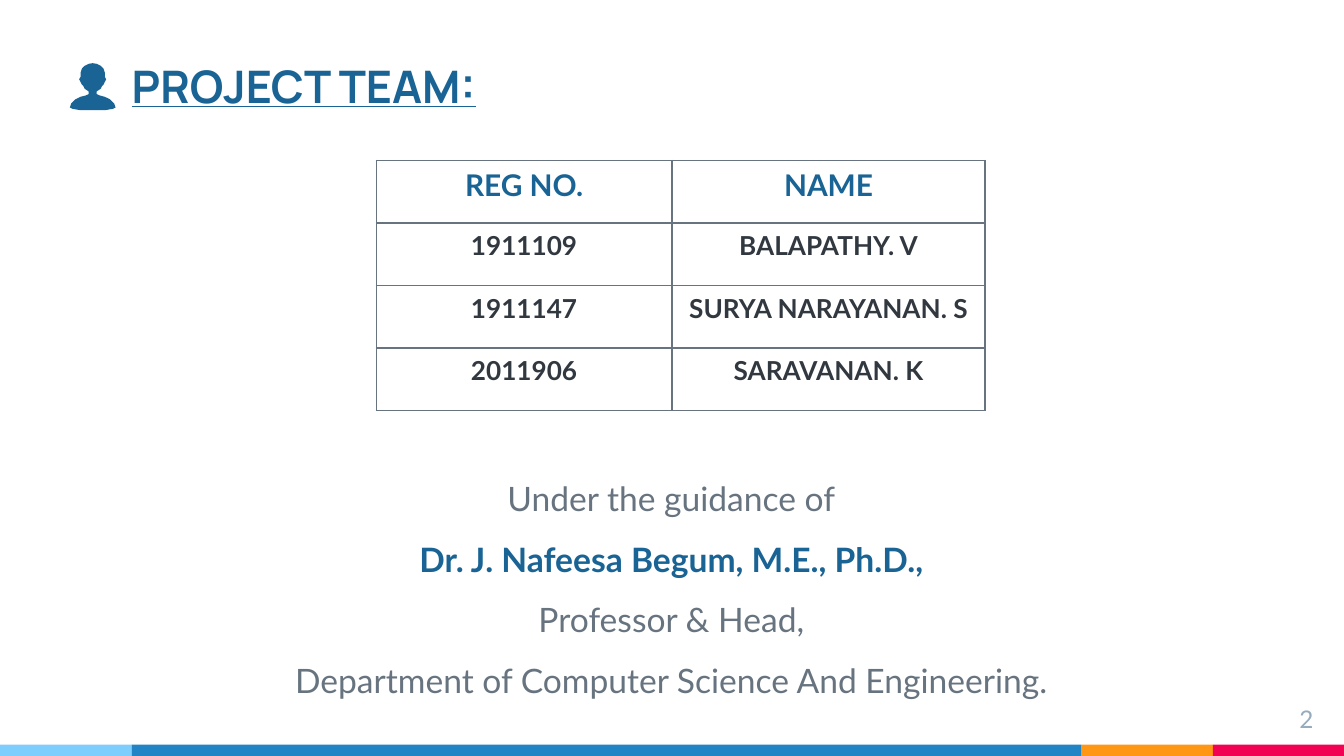
from dataclasses import dataclass

from lxml.etree import SubElement
from pptx import Presentation
from pptx.dml.color import RGBColor
from pptx.enum.shapes import MSO_SHAPE
from pptx.enum.text import MSO_ANCHOR, PP_ALIGN
from pptx.oxml.ns import qn
from pptx.util import Inches, Pt


@dataclass(frozen=True)
class Theme:
    """Colours, fonts and type sizes of the deck."""

    accent: str = "196494"
    body: str = "677480"
    dark: str = "313840"
    muted: str = "97ABBC"
    sky: str = "7ECEFD"
    blue: str = "2185C5"
    orange: str = "FF9715"
    red: str = "F20253"
    heading_font: str = "Manrope"
    body_font: str = "Lato"
    title_size: int = 24
    guidance_size: int = 18
    header_size: int = 16
    cell_size: int = 14
    number_size: int = 13


class TeamSlide:
    """Draws elements on a grid of 100 columns by 56.25 rows."""

    columns, rows = 100, 56.25

    def __init__(self, deck, theme):
        """Open a title-only slide and keep its grid unit."""
        self.theme = theme
        self.slide = deck.slides.add_slide(deck.slide_layouts[5])
        self.column = deck.slide_width / self.columns
        self.row = deck.slide_height / self.rows

    def area(self, left, top, width, height):
        """Convert a grid area to slide lengths."""
        return (round(left * self.column), round(top * self.row),
                round(width * self.column), round(height * self.row))

    def style(self, para, size, color, bold=False, align=PP_ALIGN.CENTER, font=None):
        """Format a whole paragraph."""
        para.alignment = align
        para.font.name = font or self.theme.body_font
        para.font.size = Pt(size)
        para.font.bold = bold
        para.font.color.rgb = RGBColor.from_string(color)

    def paint(self, shape, color):
        """Give a shape a flat fill."""
        shape.shadow.inherit = False
        shape.fill.solid()
        shape.fill.fore_color.rgb = RGBColor.from_string(color)
        shape.line.fill.background()

    def stripe(self, segments, top, height):
        """Lay coloured bars end to end across the slide."""
        left = 0
        for width, color in segments:
            bar = self.slide.shapes.add_shape(
                MSO_SHAPE.RECTANGLE, *self.area(left, top, width, height))
            self.paint(bar, color)
            left += width

    def title(self, text, area):
        """Place and format the title placeholder."""
        box = self.slide.shapes.title
        box.left, box.top, box.width, box.height = self.area(*area)
        frame = box.text_frame
        frame.text = text
        frame.vertical_anchor = MSO_ANCHOR.BOTTOM
        frame.margin_left = frame.margin_right = Inches(0.1)
        frame.margin_top = frame.margin_bottom = Inches(0.1)
        para = frame.paragraphs[0]
        self.style(para, self.theme.title_size, self.theme.accent, True,
                   PP_ALIGN.LEFT, self.theme.heading_font)
        para.font.underline = True

    def page_number(self, text, area):
        """Write the page number."""
        frame = self.slide.shapes.add_textbox(*self.area(*area)).text_frame
        frame.margin_left = frame.margin_right = Inches(0.1)
        frame.margin_top = frame.margin_bottom = Inches(0.1)
        frame.word_wrap = True
        frame.text = text
        self.style(frame.paragraphs[0], self.theme.number_size,
                   self.theme.muted, align=PP_ALIGN.RIGHT)

    def guidance(self, lines, highlighted, area):
        """Write centred lines with one of them highlighted."""
        frame = self.slide.shapes.add_textbox(*self.area(*area)).text_frame
        frame.word_wrap = False
        frame.text = "\n".join(lines)
        for index, para in enumerate(frame.paragraphs):
            strong = index == highlighted
            color = self.theme.accent if strong else self.theme.body
            self.style(para, self.theme.guidance_size, color, strong)
            para.line_spacing = 1.5

    def border(self, cell):
        """Draw a thin line on each side of a cell."""
        properties = cell._tc.get_or_add_tcPr()
        for side in ("a:lnL", "a:lnR", "a:lnT", "a:lnB"):
            line = SubElement(properties, qn(side), w=str(Pt(1)))
            fill = SubElement(line, qn("a:solidFill"))
            SubElement(fill, qn("a:srgbClr"), val=self.theme.body)

    def table(self, records, widths, left, top, row_height):
        """Add a bordered table whose first record is the header."""
        area = self.area(left, top, sum(widths), row_height * len(records))
        table = self.slide.shapes.add_table(len(records), len(widths), *area).table
        table.first_row = table.horz_banding = False
        for column, width in zip(table.columns, widths):
            column.width = round(width * self.column)
        for index, record in enumerate(records):
            size, color = ((self.theme.cell_size, self.theme.dark) if index
                           else (self.theme.header_size, self.theme.accent))
            for cell, text in zip(table.rows[index].cells, record):
                cell.text = text
                self.style(cell.text_frame.paragraphs[0], size, color, True)
                self.border(cell)
                cell.fill.background()

    def person(self, center, profile):
        """Mirror half a profile into a person icon."""
        right = [(center + offset, top) for offset, top in profile]
        left = [(center - offset, top) for offset, top in reversed(profile)]
        points = [(round(across * self.column), round(down * self.row))
                  for across, down in right + left]
        builder = self.slide.shapes.build_freeform(*points[0])
        builder.add_line_segments(points[1:], close=True)
        self.paint(builder.convert_to_shape(), self.theme.accent)


def main():
    """Build and save the project team slide."""
    deck = Presentation()
    deck.slide_width, deck.slide_height = Inches(10), Inches(5.625)
    theme = Theme()
    page = TeamSlide(deck, theme)
    page.stripe([(9.8, theme.sky), (70.65, theme.blue),
                 (9.8, theme.orange), (9.75, theme.red)], 55.4, 0.85)
    page.page_number("2", (92.7, 51.4, 6, 3.4))
    page.guidance(["Under the guidance of",
                   "Dr. J. Nafeesa Begum, M.E., Ph.D.,",
                   "Professor & Head,",
                   "Department of Computer Science And Engineering."],
                  1, (20.5, 33.6, 58.9, 18.6))
    page.table([("REG NO.", "NAME"),
                ("1911109", "BALAPATHY. V"),
                ("1911147", "SURYA NARAYANAN. S"),
                ("2011906", "SARAVANAN. K")],
               (22, 23.3), 28, 11.95, 4.65)
    page.title("PROJECT TEAM:", (8.8, 2.4, 28.4, 7))
    page.person(6.9, [(0, 4.7), (0.3, 4.75), (0.6, 4.9), (0.8, 5.1), (0.9, 5.4),
                      (0.9, 5.7), (1, 5.9), (0.9, 6.1), (0.8, 6.3), (0.7, 6.4),
                      (0.6, 6.6), (0.3, 6.8), (0.3, 7), (0.5, 7.1), (0.9, 7.2),
                      (1.3, 7.4), (1.6, 7.7), (1.7, 8), (1.5, 8.1), (0.9, 8.2),
                      (0, 8.2)])
    deck.save("out.pptx")


if __name__ == "__main__":
    main()
